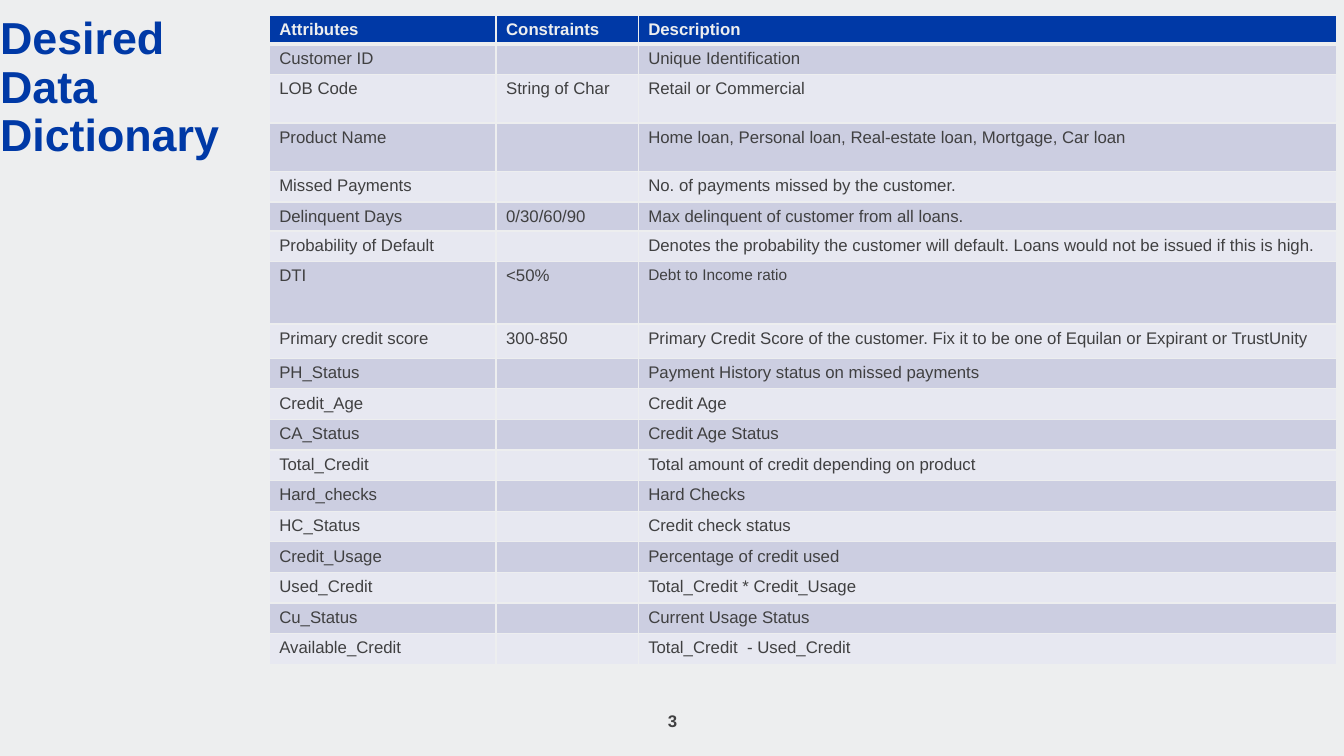
from dataclasses import dataclass

from lxml import etree
from pptx import Presentation
from pptx.dml.color import RGBColor
from pptx.enum.text import MSO_ANCHOR, PP_ALIGN
from pptx.oxml.ns import qn
from pptx.util import Inches, Pt

ANCHOR_BOTTOM = MSO_ANCHOR.BOTTOM
ANCHOR_MIDDLE = MSO_ANCHOR.MIDDLE
ALIGN_LEFT = PP_ALIGN.LEFT
ALIGN_CENTER = PP_ALIGN.CENTER

TITLE = "Desired\nData\nDictionary"
PAGE_NUMBER = "3"
HEADER = ("Attributes", "Constraints", "Description")
ATTRIBUTES = [
    ("Customer ID", "", "Unique Identification"),
    ("LOB Code", "String of Char", "Retail or Commercial"),
    ("Product Name", "", "Home loan, Personal loan, Real-estate loan, Mortgage, Car loan"),
    ("Missed Payments", "", "No. of payments missed by the customer."),
    ("Delinquent Days", "0/30/60/90", "Max delinquent of customer from all loans."),
    ("Probability of Default", "",
     "Denotes the probability the customer will default. Loans would not be issued if this is high."),
    ("DTI", "<50%", "Debt to Income ratio"),
    ("Primary credit score", "300-850",
     "Primary Credit Score of the customer. Fix it to be one of Equilan or Expirant or TrustUnity"),
    ("PH_Status", "", "Payment History status on missed payments"),
    ("Credit_Age", "", "Credit Age"),
    ("CA_Status", "", "Credit Age Status"),
    ("Total_Credit", "", "Total amount of credit depending on product"),
    ("Hard_checks", "", "Hard Checks"),
    ("HC_Status", "", "Credit check status"),
    ("Credit_Usage", "", "Percentage of credit used"),
    ("Used_Credit", "", "Total_Credit * Credit_Usage"),
    ("Cu_Status", "", "Current Usage Status"),
    ("Available_Credit", "", "Total_Credit  - Used_Credit"),
]
COLUMN_WIDTHS = (2.25, 1.41, 6.93)
ROW_HEIGHT = 4.29 / 15
TALL_ROWS = {"LOB Code": 0.48, "Product Name": 0.48, "DTI": 0.62, "Primary credit score": 0.34}
SMALL_TEXT = {"Debt to Income ratio"}


@dataclass(frozen=True)
class Theme:
    font: str = "Arial"
    background: str = "EDEEEF"
    accent: str = "0039A6"
    ink: str = "404041"
    bands: tuple = ("E7E8F1", "CCCEE1")
    title_size: int = 32
    body_size: int = 12
    small_size: int = 11
    thin_line: int = 1
    thick_line: int = 3


THEME = Theme()


def style_text(frame, size, color, bold, align=ALIGN_LEFT):
    for para in frame.paragraphs:
        para.alignment = align
        for span in para.runs:
            span.font.name = THEME.font
            span.font.size = Pt(size)
            span.font.bold = bold
            span.font.color.rgb = RGBColor.from_string(color)


def set_borders(cell, row):
    properties = cell._tc.get_or_add_tcPr()
    thick_sides = {0: "lnB", 1: "lnT"}
    for position, side in enumerate(("lnL", "lnR", "lnT", "lnB")):
        width = THEME.thick_line if thick_sides.get(row) == side else THEME.thin_line
        line = etree.Element(qn(f"a:{side}"), w=str(Pt(width)))
        fill = etree.SubElement(line, qn("a:solidFill"))
        etree.SubElement(fill, qn("a:srgbClr"), val=THEME.background)
        properties.insert(position, line)


def fill_cell(cell, text, row):
    is_header = row == 0
    size = THEME.small_size if text in SMALL_TEXT else THEME.body_size
    if text:
        cell.text_frame.text = text
        style_text(cell.text_frame, size, THEME.background if is_header else THEME.ink, is_header)
    else:
        para = cell.text_frame.paragraphs[0]
        etree.SubElement(para._p, qn("a:endParaRPr"), sz=str(size * 100))
    cell.fill.solid()
    cell.fill.fore_color.rgb = RGBColor.from_string(THEME.accent if is_header else THEME.bands[row % 2])
    set_borders(cell, row)


def add_title(page):
    title = page.shapes.title
    title.left, title.top, title.width, title.height = map(Inches, (0, 0.15, 12.5, 1.45))
    frame = title.text_frame
    frame.margin_left = frame.margin_right = frame.margin_top = frame.margin_bottom = 0
    frame.vertical_anchor = ANCHOR_BOTTOM
    para = frame.paragraphs[0]
    para.text = TITLE
    para.line_spacing = 0.9
    style_text(frame, THEME.title_size, THEME.accent, True)


def add_dictionary(page):
    rows = [HEADER, *ATTRIBUTES]
    heights = [TALL_ROWS.get(row[0], ROW_HEIGHT) for row in rows]
    table = page.shapes.add_table(
        len(rows), len(HEADER), Inches(2.67), Inches(0.15),
        Inches(sum(COLUMN_WIDTHS)), Inches(sum(heights)),
    ).table
    for column, width in zip(table.columns, COLUMN_WIDTHS):
        column.width = Inches(width)
    for index, (texts, height) in enumerate(zip(rows, heights)):
        table.rows[index].height = Inches(height)
        for cell, text in zip(table.rows[index].cells, texts):
            fill_cell(cell, text, index)


def add_page_number(page):
    box = page.shapes.add_textbox(Inches(5.17), Inches(6.95), Inches(3), Inches(0.4))
    frame = box.text_frame
    frame.word_wrap = True
    frame.vertical_anchor = ANCHOR_MIDDLE
    frame.text = PAGE_NUMBER
    style_text(frame, THEME.body_size, THEME.ink, True, ALIGN_CENTER)


def main():
    deck = Presentation()
    deck.slide_width, deck.slide_height = Inches(13.33), Inches(7.5)
    page = deck.slides.add_slide(deck.slide_layouts[5])
    page.background.fill.solid()
    page.background.fill.fore_color.rgb = RGBColor.from_string(THEME.background)
    add_title(page)
    add_dictionary(page)
    add_page_number(page)
    deck.save("out.pptx")


if __name__ == "__main__":
    main()
